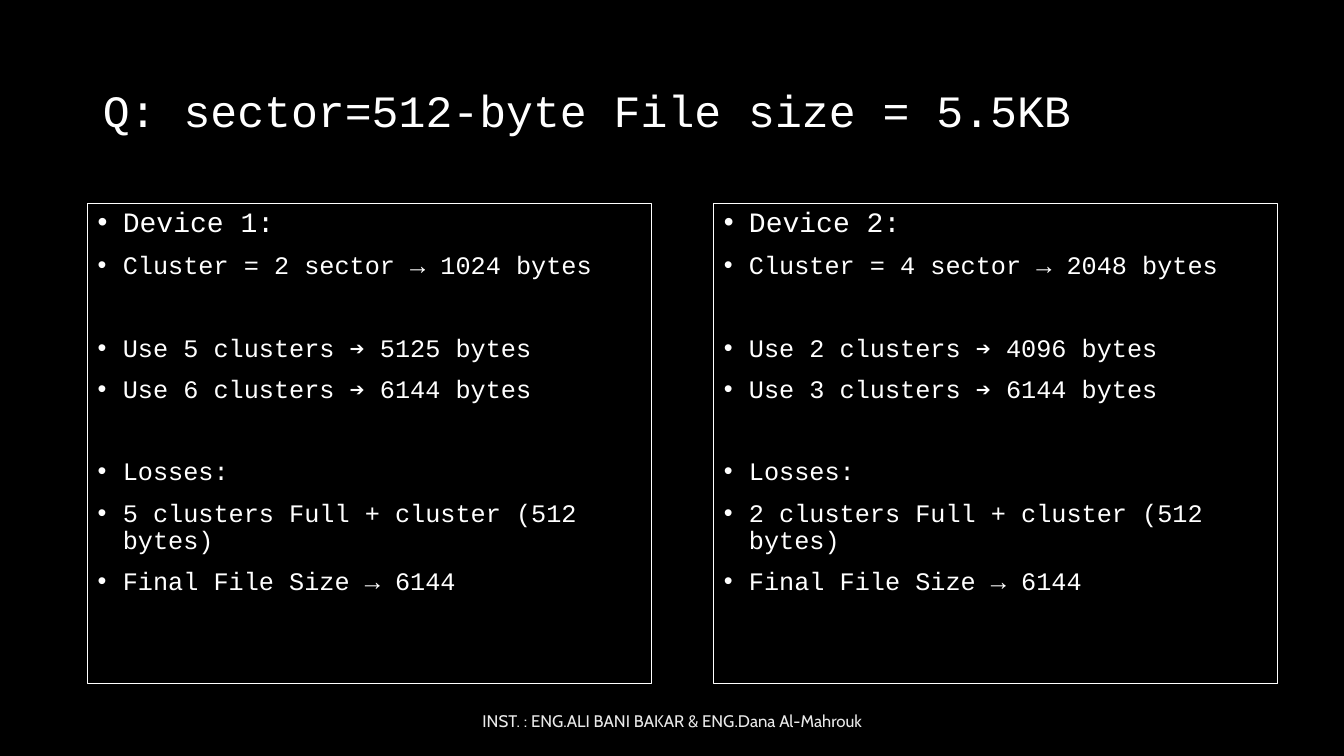
from pptx import Presentation
from pptx.dml.color import RGBColor
from pptx.enum.text import MSO_ANCHOR, MSO_AUTO_SIZE, PP_ALIGN
from pptx.oxml.xmlchemy import OxmlElement
from pptx.util import Inches, Pt

COLORS = {"background": "000000", "text": "FFFFFF", "footer": "EAEAEA"}
MONO = "Courier New"
LINE_GAP, GROUP_GAP = 10, 39.5
DEVICES = [
    [
        ["Device 1:", "Cluster = 2 sector → 1024 bytes"],
        ["Use 5 clusters ➔ 5125 bytes", "Use 6 clusters ➔ 6144 bytes"],
        ["Losses:", "5 clusters Full + cluster (512 bytes)", "Final File Size → 6144"],
    ],
    [
        ["Device 2:", "Cluster = 4 sector → 2048 bytes"],
        ["Use 2 clusters ➔ 4096 bytes", "Use 3 clusters ➔ 6144 bytes"],
        ["Losses:", "2 clusters Full + cluster (512 bytes)", "Final File Size → 6144"],
    ],
]


def rgb(name):
    """Return the named colour."""
    return RGBColor.from_string(COLORS[name])


def set_font(p, name, size, color):
    """Format the font of a paragraph."""
    p.font.name = name
    p.font.size = Pt(size)
    p.font.color.rgb = rgb(color)


def add_bullet(p):
    """Give a paragraph a hanging round bullet."""
    pPr = p._p.get_or_add_pPr()
    pPr.set("marL", str(Inches(0.25)))
    pPr.set("indent", str(Inches(-0.25)))
    font = OxmlElement("a:buFont")
    font.set("typeface", "Arial")
    bullet = OxmlElement("a:buChar")
    bullet.set("char", "•")
    pPr.extend([font, bullet])


def add_title(s, text, left, top, width, height):
    """Place and format the title placeholder."""
    sp = s.shapes.title
    sp.left, sp.top, sp.width, sp.height = map(Inches, (left, top, width, height))
    tf = sp.text_frame
    tf.text = text
    tf.word_wrap = True
    tf.auto_size = MSO_AUTO_SIZE.NONE
    tf.vertical_anchor = MSO_ANCHOR.MIDDLE
    p = tf.paragraphs[0]
    p.alignment = PP_ALIGN.LEFT
    p.line_spacing = 0.9
    set_font(p, MONO, 32, "text")


def add_device(s, groups, left, top, width, height):
    """Draw an outlined panel of grouped bullets."""
    sp = s.shapes.add_textbox(*map(Inches, (left, top, width, height)))
    sp.line.color.rgb = rgb("text")
    sp.line.width = Pt(0.75)
    tf = sp.text_frame
    tf.word_wrap = True
    for g, group in enumerate(groups):
        for i, text in enumerate(group):
            first = g == i == 0
            p = tf.paragraphs[0] if first else tf.add_paragraph()
            p.text = text
            add_bullet(p)
            p.line_spacing = 0.9
            if not first:
                p.space_before = Pt(LINE_GAP if i else GROUP_GAP)
            set_font(p, MONO, 20 if first else 18, "text")


def add_footer(s, text, left, top, width, height):
    """Write the centred footer line."""
    sp = s.shapes.add_textbox(*map(Inches, (left, top, width, height)))
    tf = sp.text_frame
    tf.text = text
    tf.word_wrap = True
    tf.vertical_anchor = MSO_ANCHOR.MIDDLE
    p = tf.paragraphs[0]
    p.alignment = PP_ALIGN.CENTER
    set_font(p, "Cabin", 12, "footer")


def main():
    """Build and save the slide."""
    prs = Presentation()
    prs.slide_width, prs.slide_height = Inches(13.33), Inches(7.5)
    s = prs.slides.add_slide(prs.slide_layouts[5])
    s.background.fill.solid()
    s.background.fill.fore_color.rgb = rgb("background")
    add_title(s, "Q: sector=512-byte File size = 5.5KB", 0.92, 0.4, 11.5, 1.45)
    for i, groups in enumerate(DEVICES):
        add_device(s, groups, 0.87 + 6.21 * i, 2.02, 5.59, 4.76)
    add_footer(s, "INST. : ENG.ALI BANI BAKAR & ENG.Dana Al-Mahrouk", 4.42, 6.95, 4.5, 0.4)
    prs.save("out.pptx")


if __name__ == "__main__":
    main()
